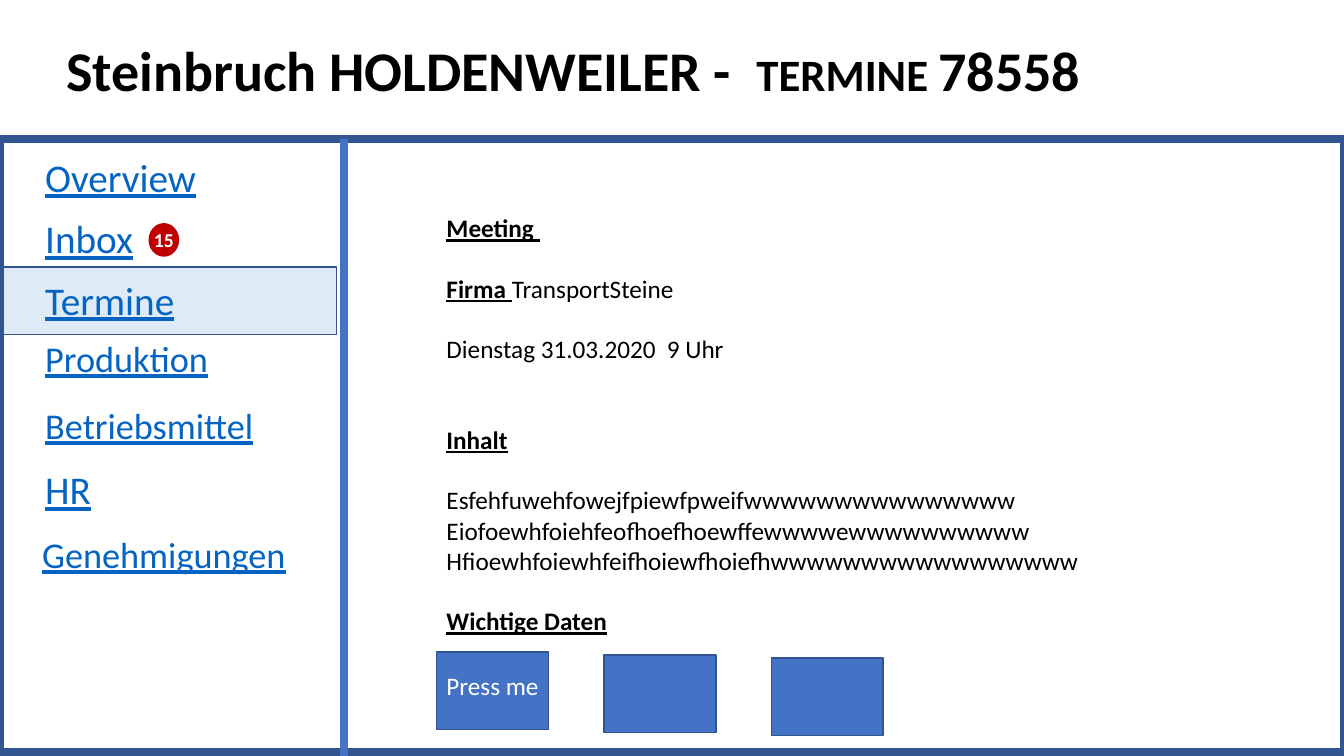
from pptx import Presentation
from pptx.dml.color import RGBColor
from pptx.enum.shapes import MSO_CONNECTOR, MSO_SHAPE
from pptx.enum.text import MSO_ANCHOR, MSO_AUTO_SIZE, PP_ALIGN
from pptx.oxml.ns import qn
from pptx.util import Inches, Pt

# Content
TITLE = [("Steinbruch HOLDENWEILER -  ", 40), ("TERMINE ", 32), ("78558", 40)]
MENU = [  # label, left, top, width, size, line spacing
    ("Overview", 0.35, 1.56, 1.98, 28, 0.8),
    ("Inbox", 0.35, 2.17, 1.98, 28, 0.8),
    ("Termine", 0.35, 2.78, 1.98, 28, 0.8),
    ("Produktion", 0.35, 3.37, 1.98, 25.9, 0.8),
    ("Betriebsmittel", 0.35, 4.0, 2.36, 25.9, 0.9),
    ("HR", 0.35, 4.66, 1.98, 28, 0.8),
    ("Genehmigungen", 0.32, 5.28, 2.69, 25.9, 0.9),
]
UNREAD = "15"
DETAILS = [  # heading part, plain part, lines of gap before
    ("Meeting ", "", 0),
    ("Firma ", "TransportSteine", 1),
    ("", "Dienstag 31.03.2020  9 Uhr", 1),
    ("Inhalt", "", 2),
    ("", "Esfehfuwehfowejfpiewfpweifwwwwwwwwwwwwwww", 1),
    ("", "Eiofoewhfoiehfeofhoefhoewffewwwwewwwwwwwwww", 0),
    ("", "Hfioewhfoiewhfeifhoiewfhoiefhwwwwwwwwwwwwwwwww", 0),
    ("Wichtige Daten", "", 1),
]
BUTTONS = ["Press me", "", ""]

# Format and layout
COLORS = {"blue": "4472C4", "border": "325491", "active": "DEEBF7",
          "link": "0563C1", "badge": "C00000", "black": "000000", "white": "FFFFFF"}
WIDTH, HEIGHT = 13.33, 7.5
HEADER_Y, DIVIDER_X, CONTENT_X = 1.38, 3.41, 4.33
BUTTON_Y, BUTTON_W, BUTTON_H = 6.47, 1.11, 0.77
BUTTON_STEP_X, BUTTON_STEP_Y = 1.66, 0.03
GAP = 21.6


def rgb(name):
    return RGBColor.from_string(COLORS[name])


def add_run(p, text, size, color, **style):
    r = p.add_run()
    r.text = text
    for key, value in {"name": "Calibri", "size": Pt(size), **style}.items():
        setattr(r.font, key, value)
    r.font.color.rgb = rgb(color)


def add_box(s, *box):
    tf = s.shapes.add_textbox(*map(Inches, box)).text_frame
    tf.word_wrap = True
    return tf


def add_panel(s, kind, box, fill, line, width=1):
    sp = s.shapes.add_shape(kind, *map(Inches, box))
    sp.shadow.inherit = False
    if fill:
        sp.fill.solid()
        sp.fill.fore_color.rgb = rgb(fill)
    else:
        sp.fill.background()
    sp.line.color.rgb = rgb(line)
    sp.line.width = Pt(width)
    return sp


def label(sp, text, size, **style):
    tf = sp.text_frame
    tf.word_wrap = False
    tf.vertical_anchor = MSO_ANCHOR.MIDDLE
    for side in ("left", "right", "top", "bottom"):
        setattr(tf, f"margin_{side}", 0)
    p = tf.paragraphs[0]
    p.alignment = PP_ALIGN.CENTER
    add_run(p, text, size, "white", **style)
    return tf


def main():
    prs = Presentation()
    prs.slide_width, prs.slide_height = Inches(WIDTH), Inches(HEIGHT)
    s = prs.slides.add_slide(prs.slide_layouts[5])

    # Title
    title = s.shapes.title
    for key, value in zip(("left", "top", "width", "height"), (0.56, 0, 11.5, 1.45)):
        setattr(title, key, Inches(value))
    tf = title.text_frame
    tf.word_wrap = True
    tf.auto_size = MSO_AUTO_SIZE.NONE
    tf.vertical_anchor = MSO_ANCHOR.MIDDLE
    p = tf.paragraphs[0]
    p.alignment, p.line_spacing = PP_ALIGN.LEFT, 0.9
    for text, size in TITLE:
        add_run(p, text, size, "black", bold=True)

    # Active menu row, frame and divider
    add_panel(s, MSO_SHAPE.RECTANGLE, (0, 2.65, 3.34, 0.67), "active", "border")
    add_panel(s, MSO_SHAPE.RECTANGLE, (0, HEADER_Y, WIDTH, 6.08), None, "border", 6)
    divider = s.shapes.add_connector(MSO_CONNECTOR.STRAIGHT, *map(
        Inches, (DIVIDER_X, HEADER_Y, DIVIDER_X, HEIGHT)))
    divider.line.color.rgb = rgb("blue")
    divider.line.width = Pt(6)
    props = divider._element.spPr
    props.append(props.makeelement(qn("a:effectLst"), {}))

    # Menu with unread badge
    for text, left, top, width, size, spacing in MENU:
        p = add_box(s, left, top, width, 0.5).paragraphs[0]
        p.line_spacing = spacing
        add_run(p, text, size, "link", underline=True)
    badge = add_panel(s, MSO_SHAPE.OVAL, (1.48, 2.22, 0.29, 0.32), "badge", "badge")
    label(badge, UNREAD, 14, bold=True)

    # Appointment details
    tf = add_box(s, CONTENT_X, 2.06, 6.82, 4.95)
    for i, (heading, plain, gaps) in enumerate(DETAILS):
        p = tf.add_paragraph() if i else tf.paragraphs[0]
        if gaps:
            p.space_before = Pt(GAP * gaps)
        if heading:
            add_run(p, heading, 18, "black", bold=True, underline=True)
        if plain:
            add_run(p, plain, 18, "black")

    # Buttons
    for i, text in enumerate(BUTTONS):
        box = (CONTENT_X + i * BUTTON_STEP_X, BUTTON_Y + i * BUTTON_STEP_Y,
               BUTTON_W, BUTTON_H)
        button = add_panel(s, MSO_SHAPE.RECTANGLE, box, "blue", "border")
        if text:
            label(button, text, 18).margin_bottom = Inches(0.1)

    prs.save("out.pptx")


if __name__ == "__main__":
    main()
